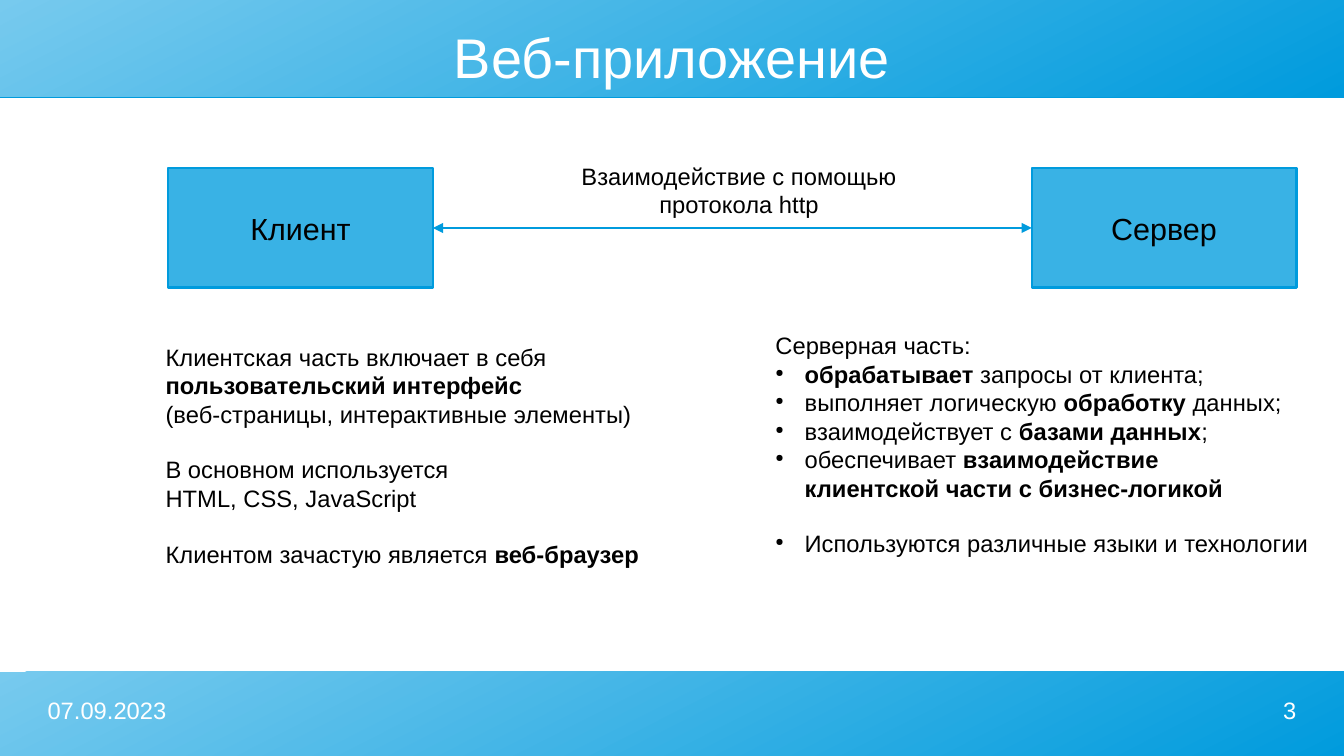
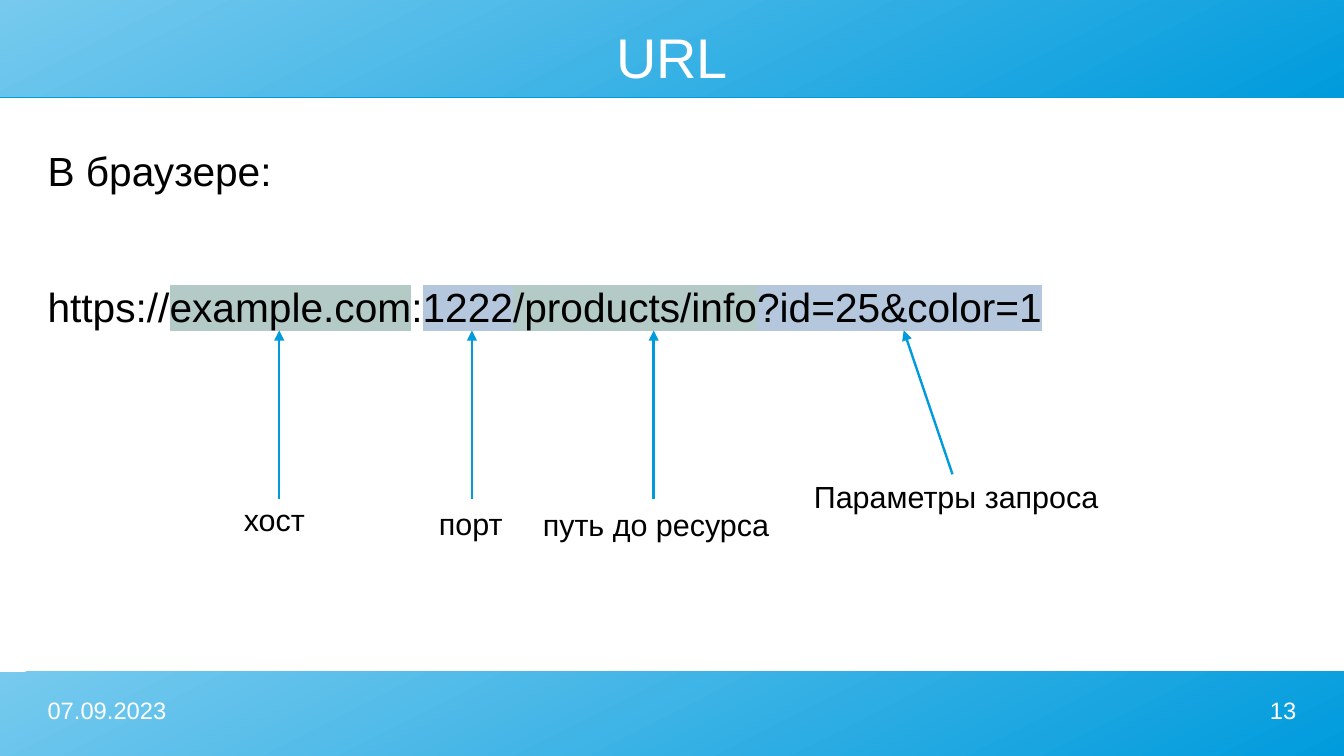
from dataclasses import dataclass

from lxml.etree import SubElement
from pptx import Presentation
from pptx.dml.color import RGBColor
from pptx.enum.shapes import MSO_CONNECTOR, MSO_SHAPE
from pptx.enum.text import MSO_ANCHOR, MSO_AUTO_SIZE, PP_ALIGN
from pptx.oxml.ns import qn
from pptx.util import Inches, Pt


@dataclass(frozen=True)
class Theme:
    font: str = "Arial"
    pale: RGBColor = RGBColor(0x77, 0xCA, 0xEE)
    accent: RGBColor = RGBColor(0x00, 0x9B, 0xDD)
    node: RGBColor = RGBColor(0x39, 0xB2, 0xE5)
    ink: RGBColor = RGBColor(0x00, 0x00, 0x00)
    paper: RGBColor = RGBColor(0xFF, 0xFF, 0xFF)
    green_mark: str = "B3CAC7"
    blue_mark: str = "B4C7DC"
    title: float = 33
    url: float = 24
    label: float = 18
    text: float = 14
    line: float = 1.42
    blank_line: float = 16.1
    url_gap: float = 51
    width: float = 11.02
    height: float = 6.2
    margin: float = 0.39


class Deck:
    """Holds the theme and the current slide, and draws each kind of element."""

    def __init__(self, theme):
        self.theme = theme
        self.presentation = Presentation()
        self.presentation.slide_width = Inches(theme.width)
        self.presentation.slide_height = Inches(theme.height)
        self.layout = self.presentation.slide_layouts[5]
        self.slide = None

    def start_slide(self, title, number):
        first = self.slide is None
        self.slide = self.presentation.slides.add_slide(self.layout)
        if first:
            self.band(0, 0.79)
            self.band(5.51, 0.69)
        theme = self.theme
        heading = self.slide.shapes.title
        heading.left, heading.top = Inches(theme.margin), Inches(0.2)
        heading.width, heading.height = Inches(theme.width - 2 * theme.margin), Inches(0.52)
        self.frame(heading, MSO_ANCHOR.MIDDLE, 0, 0)
        self.fill_paragraph(heading.text_frame.paragraphs[0], title, theme.title,
                            theme.paper, PP_ALIGN.CENTER)
        footer_width = 2.56
        right = theme.width - theme.margin - footer_width
        for left, words, align in (
            (theme.margin, "07.09.2023", PP_ALIGN.LEFT),
            (right, str(number), PP_ALIGN.RIGHT),
        ):
            self.text((left, 5.71, footer_width, 0.39), [words], theme.text,
                      align=align, color=theme.paper, inset=(0, 0))

    def band(self, top, height):
        band = self.slide.shapes.add_shape(
            MSO_SHAPE.RECTANGLE, 0, Inches(top), Inches(self.theme.width), Inches(height))
        band.fill.gradient()
        band.fill.gradient_angle = 297
        for stop, color in zip(band.fill.gradient_stops, (self.theme.pale, self.theme.accent)):
            stop.color.rgb = color
        band.line.fill.background()
        band.shadow.inherit = False
        effects = band.element.spPr.find(qn("a:effectLst"))
        shadow = SubElement(effects, qn("a:outerShdw"), dist=str(Pt(0.9)), dir="5400000",
                            algn="ctr", rotWithShape="0")
        SubElement(shadow, qn("a:srgbClr"), val=str(self.theme.accent))
        self.layout.shapes.element.insert(2, band.element)

    def frame(self, shape, anchor, side, edge):
        frame = shape.text_frame
        frame.word_wrap = True
        frame.auto_size = MSO_AUTO_SIZE.NONE
        frame.vertical_anchor = anchor
        frame.margin_left = frame.margin_right = Inches(side)
        frame.margin_top = frame.margin_bottom = Inches(edge)
        return frame

    def fill_paragraph(self, paragraph, words, size, color, align):
        """Fill a paragraph with words, **bold** parts and line breaks."""
        for part_index, part in enumerate(words.split("**")):
            for line_index, line in enumerate(part.split("\n")):
                if line_index:
                    paragraph.add_line_break()
                if line:
                    run = paragraph.add_run()
                    run.text = line
                    if part_index % 2:
                        run.font.bold = True
        self.style(paragraph, size, color, align)

    def style(self, paragraph, size, color, align=PP_ALIGN.LEFT):
        paragraph.alignment = align
        paragraph.font.name = self.theme.font
        paragraph.font.size = Pt(size)
        paragraph.font.color.rgb = color

    def text(self, place, lines, size, align=PP_ALIGN.LEFT, anchor=MSO_ANCHOR.TOP,
             color=None, inset=(0.1, 0.05), gap=0):
        box = self.slide.shapes.add_textbox(*map(Inches, place))
        frame = self.frame(box, anchor, *inset)
        for index, words in enumerate(lines):
            paragraph = frame.add_paragraph() if index else frame.paragraphs[0]
            if index and gap:
                paragraph.space_before = Pt(gap)
            self.fill_paragraph(paragraph, words, size, color or self.theme.ink, align)
        return frame

    def bulleted_text(self, place, heading, items):
        frame = self.text(place, [heading], self.theme.text, anchor=MSO_ANCHOR.MIDDLE)
        indent = Inches(0.24)
        for item in items:
            paragraph = frame.add_paragraph()
            properties = paragraph._p.get_or_add_pPr()
            properties.set("marL", str(indent))
            properties.set("indent", str(-indent))
            SubElement(properties, qn("a:buSzPct"), val="45000")
            SubElement(properties, qn("a:buChar"), char="●")
            self.fill_paragraph(paragraph, item, self.theme.text, self.theme.ink, PP_ALIGN.LEFT)
        return frame

    def marked_line(self, frame, parts, size, gap):
        paragraph = frame.add_paragraph()
        paragraph.space_before = Pt(gap)
        for words, mark in parts:
            run = paragraph.add_run()
            run.text = words
            if mark:
                highlight = SubElement(run._r.get_or_add_rPr(), qn("a:highlight"))
                SubElement(highlight, qn("a:srgbClr"), val=mark)
        self.style(paragraph, size, self.theme.ink)

    def node(self, left, name):
        node = self.slide.shapes.add_shape(
            MSO_SHAPE.RECTANGLE, *map(Inches, (left, 1.38, 2.17, 0.98)))
        node.shadow.inherit = False
        node.fill.solid()
        node.fill.fore_color.rgb = self.theme.node
        node.line.color.rgb = self.theme.accent
        node.line.width = Pt(self.theme.line)
        frame = self.frame(node, MSO_ANCHOR.MIDDLE, 0.1, 0.05)
        self.fill_paragraph(frame.paragraphs[0], name, self.theme.label,
                            self.theme.ink, PP_ALIGN.CENTER)
        return node

    def arrow(self, start, end, ends=("tailEnd",)):
        arrow = self.slide.shapes.add_connector(
            MSO_CONNECTOR.STRAIGHT, *map(Inches, (*start, *end)))
        arrow.line.color.rgb = self.theme.accent
        arrow.line.width = Pt(self.theme.line)
        for tip in ends:
            SubElement(arrow.get_or_add_ln(), qn(f"a:{tip}"), type="triangle")
        SubElement(arrow.element.spPr, qn("a:effectLst"))
        return arrow


def build_web_application(deck):
    theme = deck.theme
    deck.start_slide("Веб-приложение", 3)
    client = deck.node(1.38, "Клиент")
    server = deck.node(8.46, "Сервер")
    protocol = deck.arrow((3.55, 1.87), (8.46, 1.87), ("headEnd", "tailEnd"))
    protocol.begin_connect(client, 3)
    protocol.end_connect(server, 1)
    deck.text((4.09, 1.26, 3.94, 0.6), ["Взаимодействие с помощью", "протокола http"],
              theme.text, PP_ALIGN.CENTER, MSO_ANCHOR.MIDDLE)
    deck.text((1.26, 2.76, 4.2, 2.36), [
        "Клиентская часть включает в себя\n**пользовательский интерфейс**\n"
        "(веб-страницы, интерактивные элементы)",
        "В основном используется\nHTML, CSS, JavaScript",
        "Клиентом зачастую является **веб-браузер**",
    ], theme.text, gap=theme.blank_line)
    server_part = deck.bulleted_text((6.26, 2.56, 4.7, 2.17), "Серверная часть:", [
        "**обрабатывает** запросы от клиента;",
        "выполняет логическую **обработку** данных;",
        "взаимодействует с **базами данных**;",
        "обеспечивает **взаимодействие\nклиентской части с бизнес-логикой**",
        "Используются различные языки и технологии",
    ])
    server_part.paragraphs[-1].space_before = Pt(theme.blank_line)


def build_url(deck):
    theme = deck.theme
    deck.start_slide("URL", 13)
    address = deck.text((theme.margin, 1.2, 10.24, 1.77), ["В браузере:"], theme.url, inset=(0, 0))
    deck.marked_line(address, [
        ("https://", None),
        ("example.com", theme.green_mark),
        (":", None),
        ("1222", theme.blue_mark),
        ("/products/info", theme.green_mark),
        ("?id=25&color=1", theme.blue_mark),
    ], theme.url, theme.url_gap)
    for part, center, top, width, tail, tip in (
        ("хост", 2.25, 4.06, 0.8, (2.29, 4.09), 2.29),
        ("порт", 3.86, 4.09, 0.8, (3.87, 4.09), 3.87),
        ("путь до ресурса", 5.38, 4.1, 2.1, (5.36, 4.09), 5.36),
        ("Параметры запроса", 7.84, 3.87, 2.6, (7.81, 3.89), 7.41),
    ):
        deck.arrow(tail, (tip, 2.71))
        deck.text((center - width / 2, top, width, 0.38), [part], theme.label, PP_ALIGN.CENTER)


def main():
    deck = Deck(Theme())
    build_web_application(deck)
    build_url(deck)
    deck.presentation.save("out.pptx")


if __name__ == "__main__":
    main()
